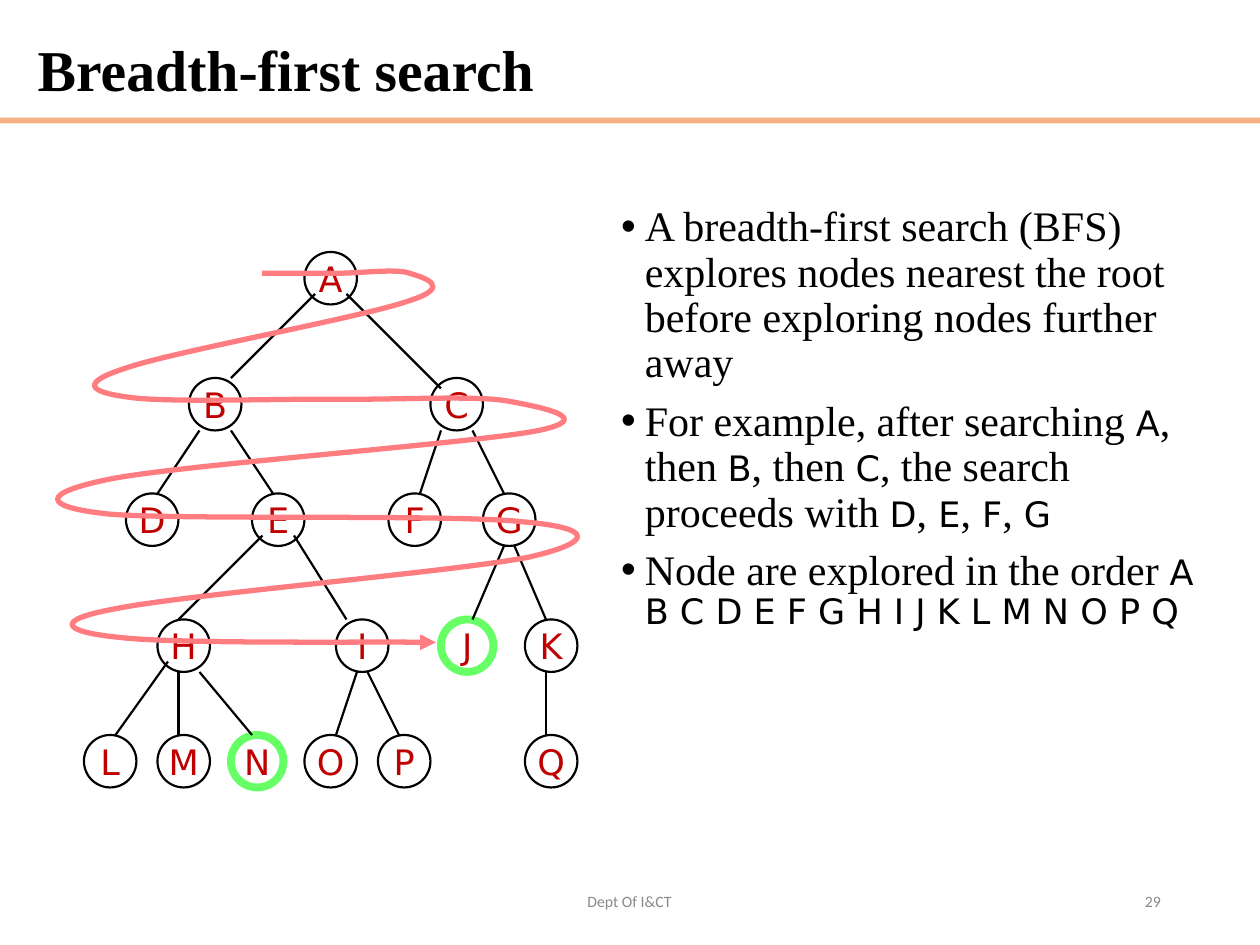
"""Build a slide that explains breadth-first search on a tree."""
from lxml import etree
from pptx import Presentation
from pptx.dml.color import RGBColor
from pptx.enum.shapes import MSO_CONNECTOR, MSO_SHAPE
from pptx.enum.text import MSO_ANCHOR, PP_ALIGN
from pptx.oxml.ns import qn
from pptx.util import Cm, Pt

STRAIGHT = MSO_CONNECTOR.STRAIGHT
RECTANGLE, OVAL = MSO_SHAPE.RECTANGLE, MSO_SHAPE.OVAL
TOP, MIDDLE = MSO_ANCHOR.TOP, MSO_ANCHOR.MIDDLE
LEFT, CENTER, RIGHT = PP_ALIGN.LEFT, PP_ALIGN.CENTER, PP_ALIGN.RIGHT

SERIF, SANS, SMALL = "Times New Roman", "DejaVu Sans", "Calibri"
BLACK, GREY, RED = "000000", "898989", "C00000"
GOAL_GREEN, ROUTE_PINK, RULE_ORANGE = "66FF66", "FF7C80", "F4B183"

TITLE = "Breadth-first search"
FOOTER, PAGE = "Dept Of I&CT", "29"
BULLETS = [
    [("A breadth-first search (BFS) explores nodes nearest the root "
      "before exploring nodes further away", SERIF)],
    [("For example, after searching ", SERIF), ("A", SANS), (", then ", SERIF),
     ("B", SANS), (", then ", SERIF), ("C", SANS),
     (", the search proceeds with ", SERIF), ("D", SANS), (",", SERIF),
     (" E", SANS), (",", SERIF), (" F", SANS), (",", SERIF), (" G", SANS)],
    [("Node are explored in the order ", SERIF),
     ("A B C D E F G H I J K L M N O P Q", SANS)],
]
BULLET_SIZES = {SERIF: 24, SANS: 20}

GRID = 2.54 / 12
NODE_SIZE = 5
LEVELS = [
    (24, {"A": 29}),
    (36, {"B": 18, "C": 41}),
    (47, {"D": 12, "E": 24, "F": 37, "G": 46}),
    (59, {"H": 15, "I": 32, "J": 42, "K": 50}),
    (70, {"L": 8, "M": 15, "N": 22, "O": 29, "P": 36, "Q": 50}),
]
GOALS = "JN"
EDGES = [
    (22, 36, 30, 28), (33, 28, 42, 37),
    (19, 41, 15, 47), (22, 41, 26, 47), (42, 41, 40, 47), (45, 41, 48, 47),
    (17, 59, 25, 51), (33, 59, 28, 51), (45, 59, 48, 52), (52, 59, 49, 52),
    (11, 70, 16, 63), (17, 70, 17, 64), (24, 70, 19, 64),
    (32, 70, 34, 64), (38, 70, 35, 64), (52, 70, 52, 64),
]
ROUTE_START = (5.28, 5.51)
ROUTE_CURVES = [
    (5.54, 5.51), (6.27, 5.51), (6.78, 5.51),
    (7.26, 5.51), (8, 5.41), (8.26, 5.51),
    (8.51, 5.59), (9.19, 5.77), (8.23, 6.07),
    (7.29, 6.4), (3.48, 7.09), (2.54, 7.42),
    (1.6, 7.72), (1.8, 7.9), (2.54, 8),
    (3.28, 8.13), (5.72, 8.03), (6.99, 8.05),
    (8.26, 8.05), (9.58, 7.98), (10.21, 8.08),
    (10.85, 8.2), (12.12, 8.43), (10.8, 8.69),
    (9.47, 8.94), (3.71, 9.37), (2.26, 9.65),
    (0.84, 9.93), (0.79, 10.21), (2.16, 10.36),
    (3.53, 10.49), (9.12, 10.36), (10.54, 10.52),
    (11.96, 10.64), (12.01, 10.92), (10.67, 11.23),
    (9.3, 11.51), (3.71, 11.99), (2.34, 12.27),
    (0.97, 12.52), (1.35, 12.75), (2.41, 12.85),
    (3.51, 12.98), (7.47, 12.93), (8.79, 12.95),
]


def color(value):
    return RGBColor.from_string(value)


def style(font, name, size, hue, bold=False):
    font.name, font.size, font.bold = name, Pt(size), bold
    font.color.rgb = color(hue)


def draw_line(line, hue, width):
    line.color.rgb = color(hue)
    line.width = Pt(width)


def add_text(slide, box, anchor):
    frame = slide.shapes.add_textbox(*map(Cm, box)).text_frame
    frame.word_wrap = True
    frame.vertical_anchor = anchor
    return frame


def add_label(slide, box, text, align, *look):
    label = add_text(slide, box, MIDDLE).paragraphs[0]
    label.text, label.alignment = text, align
    style(label.font, *look)


def add_bullets(slide):
    body = add_text(slide, (12.27, 4.02, 12.07, 13.97), TOP)
    for index, pieces in enumerate(BULLETS):
        bullet = body.add_paragraph() if index else body.paragraphs[0]
        bullet.line_spacing, bullet.space_before = 0.9, Pt(7.5)
        props = bullet._p.get_or_add_pPr()
        props.set("marL", str(Cm(0.48)))
        props.set("indent", str(-Cm(0.48)))
        etree.SubElement(props, qn("a:buFont")).set("typeface", "Arial")
        etree.SubElement(props, qn("a:buChar")).set("char", "•")
        for text, face in pieces:
            run = bullet.add_run()
            run.text = text
            style(run.font, face, BULLET_SIZES[face], BLACK)


def add_node(slide, letter, column, row):
    spot = [Cm(n * GRID) for n in (column, row, NODE_SIZE, NODE_SIZE)]
    node = slide.shapes.add_shape(OVAL, *spot)
    node.shadow.inherit = False
    node.fill.background()
    goal = letter in GOALS
    draw_line(node.line, GOAL_GREEN if goal else BLACK, 4.5 if goal else 1.25)
    node.text_frame.word_wrap = False
    node.text_frame.vertical_anchor = MIDDLE
    label = node.text_frame.paragraphs[0]
    label.text, label.alignment = letter, CENTER
    style(label.font, SANS, 20, RED)


def add_edge(slide, ends):
    edge = slide.shapes.add_connector(STRAIGHT, *[Cm(n * GRID) for n in ends])
    draw_line(edge.line, BLACK, 1.25)
    etree.SubElement(edge._element.spPr, qn("a:effectLst"))


def add_route(slide):
    builder = slide.shapes.build_freeform(*map(Cm, ROUTE_START))
    builder.add_line_segments([(Cm(x), Cm(y)) for x, y in ROUTE_CURVES], close=False)
    route = builder.convert_to_shape()
    route.shadow.inherit = False
    route.fill.background()
    draw_line(route.line, ROUTE_PINK, 3)
    etree.SubElement(route.line._get_or_add_ln(), qn("a:tailEnd")).set("type", "triangle")
    segments = list(route._element.iter(qn("a:lnTo")))
    outline = segments[0].getparent()
    for first in range(0, len(segments), 3):
        curve = etree.SubElement(outline, qn("a:cubicBezTo"))
        for segment in segments[first:first + 3]:
            curve.append(segment[0])
            outline.remove(segment)


def main():
    deck = Presentation()
    deck.slide_width, deck.slide_height = Cm(25.4), Cm(19.05)
    slide = deck.slides.add_slide(deck.slide_layouts[6])

    rule = slide.shapes.add_shape(RECTANGLE, Cm(0), Cm(2.37), Cm(25.4), Cm(0.12))
    rule.shadow.inherit = False
    rule.fill.solid()
    rule.fill.fore_color.rgb = color(RULE_ORANGE)
    rule.line.fill.background()

    add_label(slide, (0.51, 0.38, 23.14, 2), TITLE, LEFT, SERIF, 33, BLACK, True)
    add_bullets(slide)
    for row, nodes in LEVELS:
        for letter, column in nodes.items():
            add_node(slide, letter, column, row)
    for ends in EDGES:
        add_edge(slide, ends)
    add_route(slide)
    add_label(slide, (8.41, 17.65, 8.56, 1.02), FOOTER, CENTER, SMALL, 9, GREY)
    add_label(slide, (17.93, 17.65, 5.72, 1.02), PAGE, RIGHT, SMALL, 9, GREY)
    deck.save("out.pptx")


if __name__ == "__main__":
    main()
